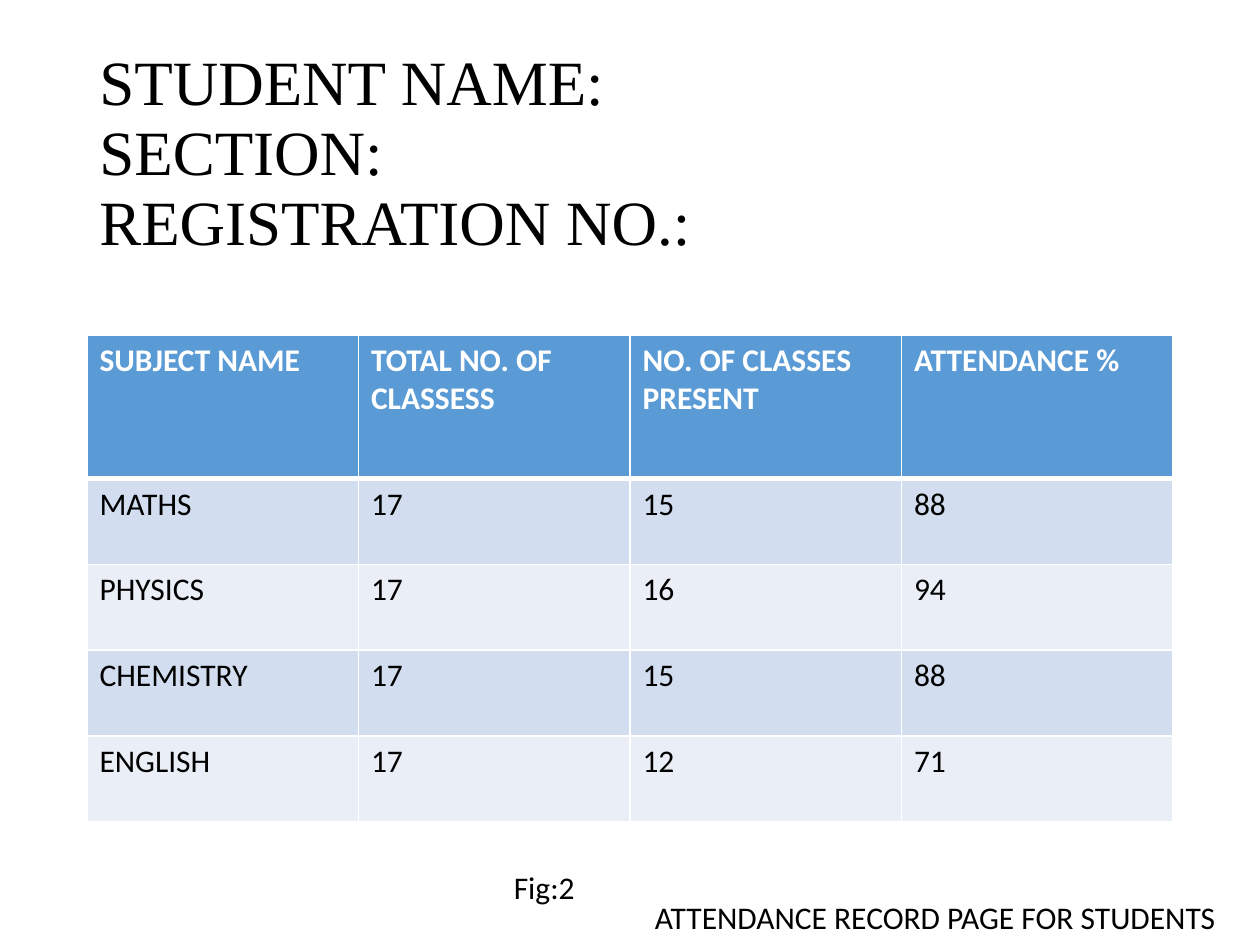
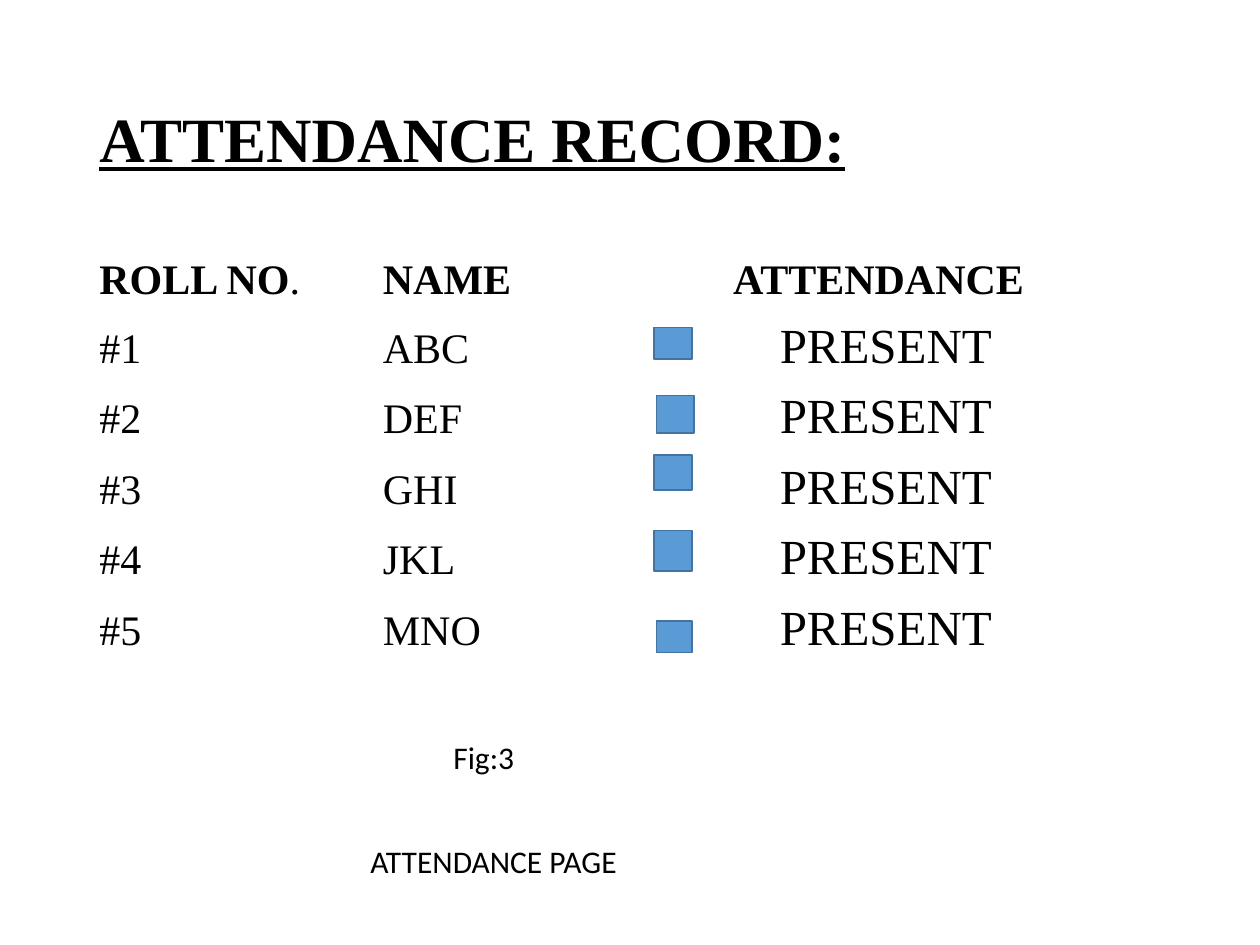
from lxml import etree
from pptx import Presentation
from pptx import util as u
from pptx.dml.color import RGBColor
from pptx.enum import shapes, text
from pptx.oxml.ns import qn

SERIF, SANS = "Times New Roman", "Calibri"
BLACK, WHITE, BLUE, BLUE_EDGE = "000000", "FFFFFF", "5B9BD5", "43739E"
BAND_DARK, BAND_LIGHT = "D2DEEF", "EAEFF7"
LEFT, WIDTH = 0.69, 8.62

rgb = RGBColor.from_string


def style(paragraph, face, size, color=BLACK, bold=False):
    font = paragraph.font
    font.name, font.size, font.bold = face, u.Pt(size), bold
    font.color.rgb = rgb(color)


def add_lines(slide, lines, left, top, width, height, face=SANS, size=18):
    """Add a text box with one paragraph per line and return its text frame."""
    box = slide.shapes.add_textbox(*map(u.Inches, (left, top, width, height)))
    frame = box.text_frame
    frame.word_wrap = True
    for i, line in enumerate(lines):
        paragraph = frame.paragraphs[0] if i == 0 else frame.add_paragraph()
        paragraph.text = line
        style(paragraph, face, size)
    return frame


prs = Presentation()
prs.slide_width, prs.slide_height = u.Inches(10), u.Inches(7.5)
blank = prs.slide_layouts[6]

# Slide 1: one student's attendance by subject
student = prs.slides.add_slide(blank)
heading = add_lines(student, ["STUDENT NAME:", "SECTION:", "REGISTRATION NO.:"],
                    LEFT, 0.05, WIDTH, 2.05, SERIF, 36)
heading.vertical_anchor = text.MSO_ANCHOR.BOTTOM
for paragraph in heading.paragraphs:
    paragraph.line_spacing = u.Pt(40)

subject_rows = [
    ("SUBJECT NAME", "TOTAL NO. OF CLASSESS", "NO. OF CLASSES PRESENT", "ATTENDANCE %"),
    ("MATHS", "17", "15", "88"),
    ("PHYSICS", "17", "16", "94"),
    ("CHEMISTRY", "17", "15", "88"),
    ("ENGLISH", "17", "12", "71"),
]
subjects = student.shapes.add_table(
    len(subject_rows), 4, u.Inches(LEFT), u.Inches(2.66), u.Inches(WIDTH), u.Inches(3.87)).table
for r, values in enumerate(subject_rows):
    header = r == 0
    subjects.rows[r].height = u.Inches(1.14 if header else 0.68)
    fill = BLUE if header else (BAND_LIGHT, BAND_DARK)[r % 2]
    edges = {"lnL": 1, "lnR": 1, "lnT": 3 if r == 1 else 1, "lnB": 3 if header else 1}
    for c, value in enumerate(values):
        cell = subjects.cell(r, c)
        cell.text = value
        style(cell.text_frame.paragraphs[0], SANS, 18, WHITE if header else BLACK, header)
        properties = cell._tc.get_or_add_tcPr()
        for edge, points in edges.items():
            line = etree.SubElement(properties, qn(f"a:{edge}"), w=str(u.Pt(points)))
            solid = etree.SubElement(line, qn("a:solidFill"))
            etree.SubElement(solid, qn("a:srgbClr"), val=WHITE)
        cell.fill.solid()
        cell.fill.fore_color.rgb = rgb(fill)

add_lines(student, ["Fig:2"], 3.98, 6.84, 0.8, 0.4)
add_lines(student, ["ATTENDANCE RECORD PAGE FOR STUDENTS"], 5.1, 7.08, 4.9, 0.4)

# Slide 2: the class roll
roll = prs.slides.add_slide(blank)
title = add_lines(roll, ["ATTENDANCE RECORD:"], LEFT, 0.4, WIDTH, 1.45, SERIF, 36)
title.vertical_anchor = text.MSO_ANCHOR.MIDDLE
title.paragraphs[0].line_spacing = 0.9
title.paragraphs[0].font.bold = title.paragraphs[0].font.underline = True

names = ["ABC", "DEF", "GHI", "JKL", "MNO"]
entries = add_lines(roll, [""] * (len(names) + 1), LEFT, 2, WIDTH, 4.76, SERIF, 24)
for number, paragraph in enumerate(entries.paragraphs):
    header = number == 0
    paragraph.line_spacing = 0.9
    paragraph.space_before = u.Pt(0 if header else 10)
    tabs = etree.Element(qn("a:tabLst"))
    for stop in (2.25, 5.03 if header else 5.4):
        etree.SubElement(tabs, qn("a:tab"), pos=str(u.Inches(stop)), algn="l")
    paragraph._p.pPr.find(qn("a:defRPr")).addprevious(tabs)
    if header:
        for part, bold in (("ROLL NO", True), (".", False), ("\tNAME\tATTENDANCE", True)):
            run = paragraph.add_run()
            run.text, run.font.bold = part, bold
    else:
        paragraph.add_run().text = f"#{number}\t{names[number - 1]}\t"
        status = paragraph.add_run()
        status.text, status.font.size = "PRESENT", u.Pt(28)

checkboxes = [(5.19, 2.6, 0.3, 0.25), (5.21, 3.14, 0.3, 0.3), (5.19, 3.61, 0.3, 0.28),
              (5.19, 4.21, 0.3, 0.32), (5.21, 4.93, 0.28, 0.25)]
for bounds in checkboxes:
    checkbox = roll.shapes.add_shape(shapes.MSO_SHAPE.RECTANGLE, *map(u.Inches, bounds))
    checkbox.shadow.inherit = False
    checkbox.fill.solid()
    checkbox.fill.fore_color.rgb = rgb(BLUE)
    checkbox.line.color.rgb = rgb(BLUE_EDGE)
    checkbox.line.width = u.Pt(1)

add_lines(roll, ["Fig:3"], 3.5, 5.81, 0.8, 0.4)
add_lines(roll, ["ATTENDANCE PAGE"], 2.84, 6.63, 2.35, 0.4)

prs.save("out.pptx")
